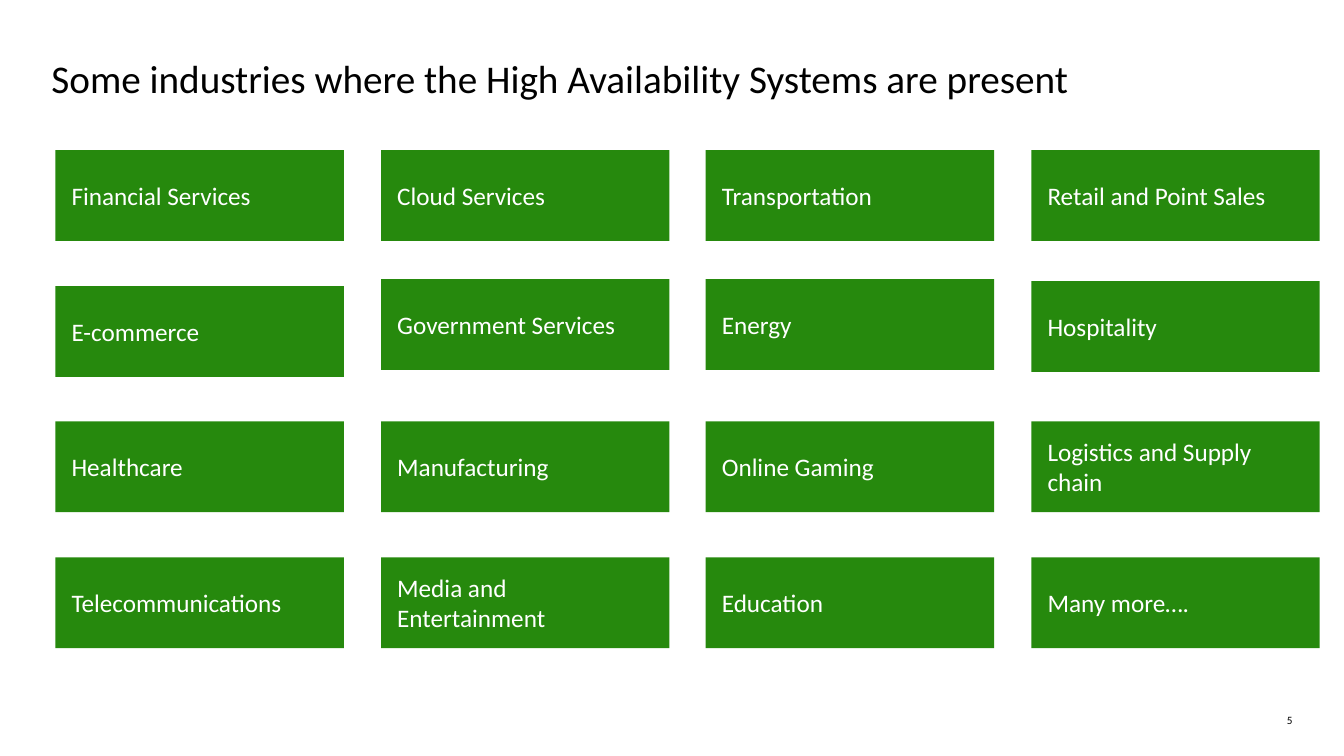
from dataclasses import dataclass

from pptx import Presentation
from pptx.dml.color import RGBColor
from pptx.enum.shapes import MSO_SHAPE
from pptx.enum.text import MSO_ANCHOR, PP_ALIGN
from pptx.util import Inches, Pt


@dataclass(frozen=True)
class Theme:
    font: str = "Calibri"
    ink: RGBColor = RGBColor(0x00, 0x00, 0x00)
    tile_fill: RGBColor = RGBColor(0x26, 0x89, 0x0D)
    tile_ink: RGBColor = RGBColor(0xFF, 0xFF, 0xFF)
    title_size: int = 28
    tile_size: int = 18
    page_size: int = 8


theme = Theme()


def write(shape, text, size, color, align=PP_ALIGN.LEFT,
          anchor=MSO_ANCHOR.TOP, insets=(0, 0, 0, 0)):
    """Fill a shape with one formatted paragraph; insets are left, top, right, bottom."""
    frame = shape.text_frame
    frame.word_wrap = True
    frame.vertical_anchor = anchor
    (frame.margin_left, frame.margin_top,
     frame.margin_right, frame.margin_bottom) = map(Inches, insets)
    paragraph = frame.paragraphs[0]
    paragraph.alignment = align
    run = paragraph.add_run()
    run.text = text
    run.font.name = theme.font
    run.font.size = Pt(size)
    run.font.color.rgb = color


presentation = Presentation()
presentation.slide_width = Inches(13.33)
presentation.slide_height = Inches(7.5)
slide = presentation.slides.add_slide(presentation.slide_layouts[6])

page_number = slide.shapes.add_textbox(
    Inches(12.48), Inches(7.08), Inches(0.34), Inches(0.13))
write(page_number, "5", theme.page_size, theme.ink, align=PP_ALIGN.RIGHT)

title = slide.shapes.add_textbox(
    Inches(0.51), Inches(0.54), Inches(12.25), Inches(0.38))
write(title, "Some industries where the High Availability Systems are present",
      theme.title_size, theme.ink)

# Each column: its industries from top to bottom, and the top of its second row
columns = [
    (["Financial Services", "E-commerce", "Healthcare", "Telecommunications"], 2.84),
    (["Cloud Services", "Government Services", "Manufacturing",
      "Media and Entertainment"], 2.77),
    (["Transportation", "Energy", "Online Gaming", "Education"], 2.77),
    (["Retail and Point Sales", "Hospitality", "Logistics and Supply chain",
      "Many more…."], 2.79),
]
first_left, column_pitch = 0.55, 3.226
tile_width, tile_height = 2.86, 0.9

for column, (industries, second_top) in enumerate(columns):
    left = round(first_left + column * column_pitch, 2)
    for industry, top in zip(industries, (1.49, second_top, 4.18, 5.53)):
        tile = slide.shapes.add_shape(
            MSO_SHAPE.PENTAGON, Inches(left), Inches(top),
            Inches(tile_width), Inches(tile_height))
        tile.adjustments[0] = 0
        tile.shadow.inherit = False
        tile.fill.solid()
        tile.fill.fore_color.rgb = theme.tile_fill
        tile.line.fill.background()
        write(tile, industry, theme.tile_size, theme.tile_ink,
              anchor=MSO_ANCHOR.MIDDLE, insets=(0.16, 0.1, 0.1, 0.1))

presentation.save("out.pptx")
